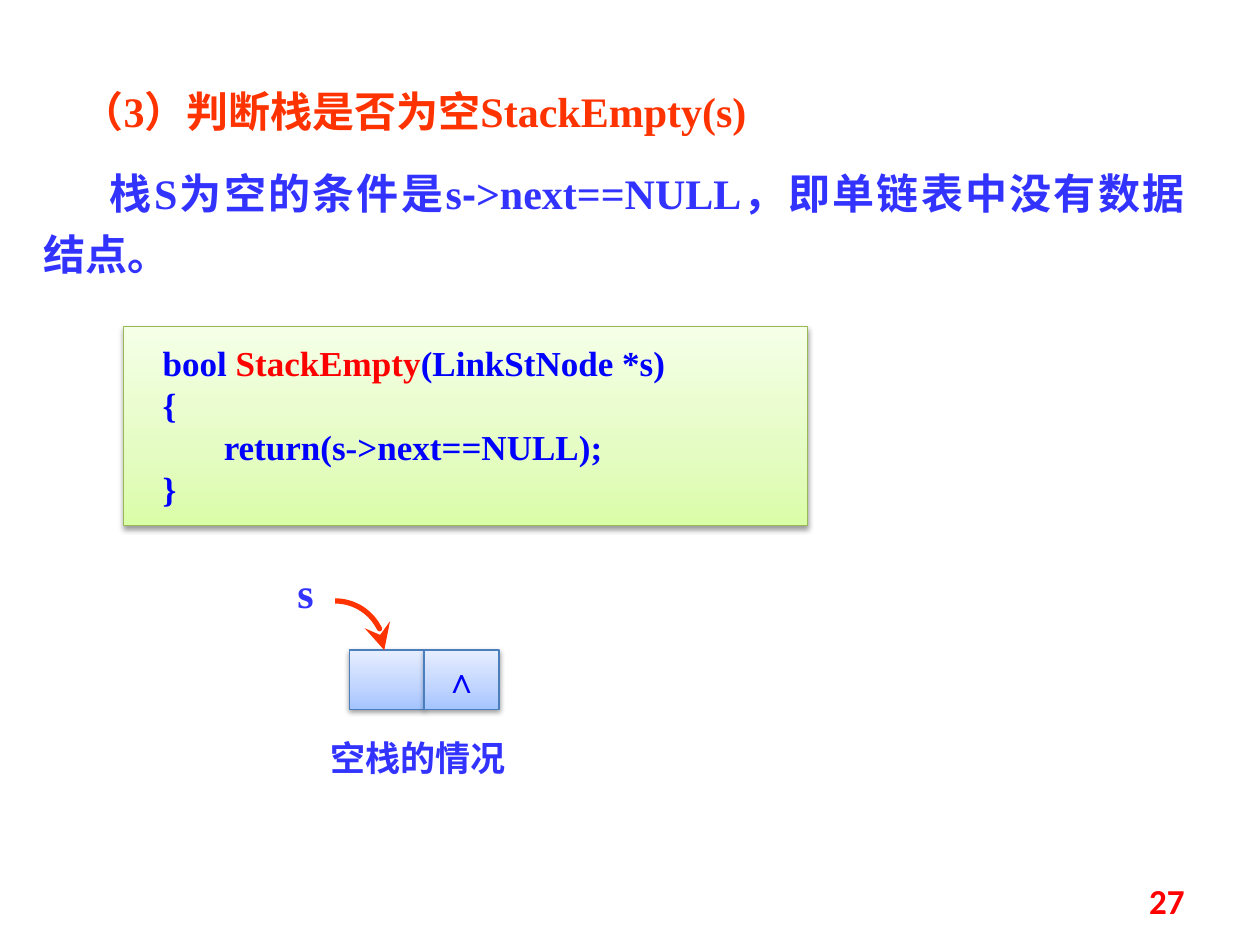
import copy
import pptx
import pptx.dml.color
import pptx.enum.shapes
import pptx.enum.text
import pptx.oxml
import pptx.oxml.ns
import pptx.util

Pt = pptx.util.Pt
ALIGN = pptx.enum.text.PP_ALIGN
ANCHOR = pptx.enum.text.MSO_ANCHOR
SHAPE = pptx.enum.shapes.MSO_SHAPE
qn = pptx.oxml.ns.qn
SERIF, CJK = "Times New Roman", "Noto Sans CJK SC"
COLORS = {"heading": "FF3300", "body": "3333FF", "code": "0000FF",
          "name": "FF0000", "code_line": "98B955", "node_line": "4B7EBC"}
CODE_FILL = [(0, "DAFDA7"), (0.35, "E4FCC2"), (1, "F5FFE7")]
NODE_FILL = [(0, "A4C4FF"), (0.35, "BFD4FF"), (1, "E6EEFF")]


def rgb(name):
    """Return the colour for a palette name or a hex string."""
    return pptx.dml.color.RGBColor.from_string(COLORS.get(name, name))


def element(tag, **attributes):
    """Return a new drawing element with the given attributes."""
    node = pptx.oxml.parse_xml(f"<a:{tag} {pptx.oxml.ns.nsdecls('a')}/>")
    for key, value in attributes.items():
        node.set(key, str(value))
    return node


def run(text, **style):
    """Pair a piece of text with its format."""
    return text, style


class Slide:
    """Holds the text style and the current page."""

    def __init__(self, page):
        self.page = page
        self.style = {"size": 20, "font": SERIF, "color": "body"}

    def fill_text(self, shape, paragraphs, align=ALIGN.LEFT, leading=1.2, before=0,
                  indents=(), inset=(7.2, 3.6), anchor=ANCHOR.TOP, wrap=True, **style):
        """Fill a shape with paragraphs, each a list of runs."""
        frame = shape.text_frame
        frame.word_wrap, frame.vertical_anchor = wrap, anchor
        frame.margin_left = frame.margin_right = Pt(inset[0])
        frame.margin_top = frame.margin_bottom = Pt(inset[1])
        base = {**self.style, **style}
        for index, runs in enumerate(paragraphs):
            para = frame.add_paragraph() if index else frame.paragraphs[0]
            para.alignment = align
            para.line_spacing = Pt(base["size"] * leading)
            para.space_before = Pt(before if index else 0)
            if indents:
                properties = para._p.get_or_add_pPr()
                properties.set("marL", "0")
                properties.set("indent", str(Pt(indents[index])))
            for text, changes in runs:
                look = {**base, **changes}
                span = para.add_run()
                span.text = text
                span.font.size, span.font.bold = Pt(look["size"]), True
                span.font.name = look["font"]
                span.font.color.rgb = rgb(look["color"])
                latin = span.font._element.find(qn("a:latin"))
                latin.addnext(element("ea", typeface=CJK))

    def text(self, left, top, width, height, paragraphs, **style):
        """Add a text box."""
        box = self.page.shapes.add_textbox(Pt(left), Pt(top), Pt(width), Pt(height))
        self.fill_text(box, paragraphs, **style)

    def panel(self, left, top, width, height, stops, line, paragraphs=(), **style):
        """Add a shadowed rectangle with a gradient fill."""
        box = self.page.shapes.add_shape(
            SHAPE.RECTANGLE, Pt(left), Pt(top), Pt(width), Pt(height))
        box.fill.gradient()
        box.fill.gradient_angle = 90
        properties = box._element.spPr
        stop_list = properties.find(".//" + qn("a:gsLst"))
        stop_list.append(copy.deepcopy(stop_list[0]))
        for stop, (position, color) in zip(box.fill.gradient_stops, stops):
            stop.position, stop.color.rgb = position, rgb(color)
        box.line.color.rgb, box.line.width = rgb(line), Pt(0.75)
        box.shadow.inherit = False
        shadow = element("outerShdw", blurRad=Pt(3.1), dist=Pt(1.6),
                         dir=5400000, rotWithShape=0)
        tint = element("srgbClr", val="000000")
        tint.append(element("alpha", val=38000))
        shadow.append(tint)
        properties.find(qn("a:effectLst")).append(shadow)
        self.fill_text(box, paragraphs, **style)

    def arc_arrow(self, left, top, radius, color):
        """Add a quarter arc from (left, top) that ends in an arrowhead."""
        arc = self.page.shapes.add_shape(
            SHAPE.ARC, Pt(left - radius), Pt(top), Pt(2 * radius), Pt(2 * radius))
        arc.fill.background()
        arc.shadow.inherit = False
        arc.line.color.rgb, arc.line.width = rgb(color), Pt(3)
        arc._element.spPr.find(qn("a:ln")).append(
            element("tailEnd", type="stealth", w="lg", len="lg"))


def main():
    """Build the slide on the empty-stack test."""
    deck = pptx.Presentation()
    deck.slide_width, deck.slide_height = Pt(720), Pt(540)
    slide = Slide(deck.slides.add_slide(deck.slide_layouts[6]))

    slide.text(18, 39.6, 666, 126.7, [
        [run("（3）判断栈是否为空StackEmpty(s)", color="heading")],
        [run("栈S为空的条件是s"), run("-", font="Arial"),
         run(">next==NULL，即单链表中没有数据结点。")],
    ], size=24, align=ALIGN.JUSTIFY, leading=1.45, before=12, indents=(21.5, 37.6))

    slide.panel(70.6, 186.5, 391, 113.8, CODE_FILL, "code_line", [
        [run("bool "), run("StackEmpty", color="name"), run("(LinkStNode *s)")],
        [run("{")],
        [run("       return(s->next==NULL);")],
        [run("}")],
    ], color="code", inset=(22.3, 8.6))

    node_left, node_top, cell_width, cell_height = 199.6, 371.5, 42.8, 33.8
    for column, cell in enumerate([[], [[run("∧")]]]):
        slide.panel(node_left + column * cell_width, node_top, cell_width, cell_height,
                    NODE_FILL, "node_line", cell, color="code", wrap=False,
                    align=ALIGN.CENTER, anchor=ANCHOR.MIDDLE)
    slide.arc_arrow(191.5, 343.4, 28.1, "heading")
    slide.text(157.7, 320.4, 33.8, 36, [[run("s")]], size=24, align=ALIGN.CENTER)
    slide.text(174.2, 417.6, 129.6, 31.7, [[run("空栈的情况")]],
               font=CJK, align=ALIGN.CENTER)
    slide.text(516.2, 500.4, 167.8, 28.8, [[run("27")]], font="Calibri",
               color="name", align=ALIGN.RIGHT, anchor=ANCHOR.MIDDLE)
    deck.save("out.pptx")


if __name__ == "__main__":
    main()
